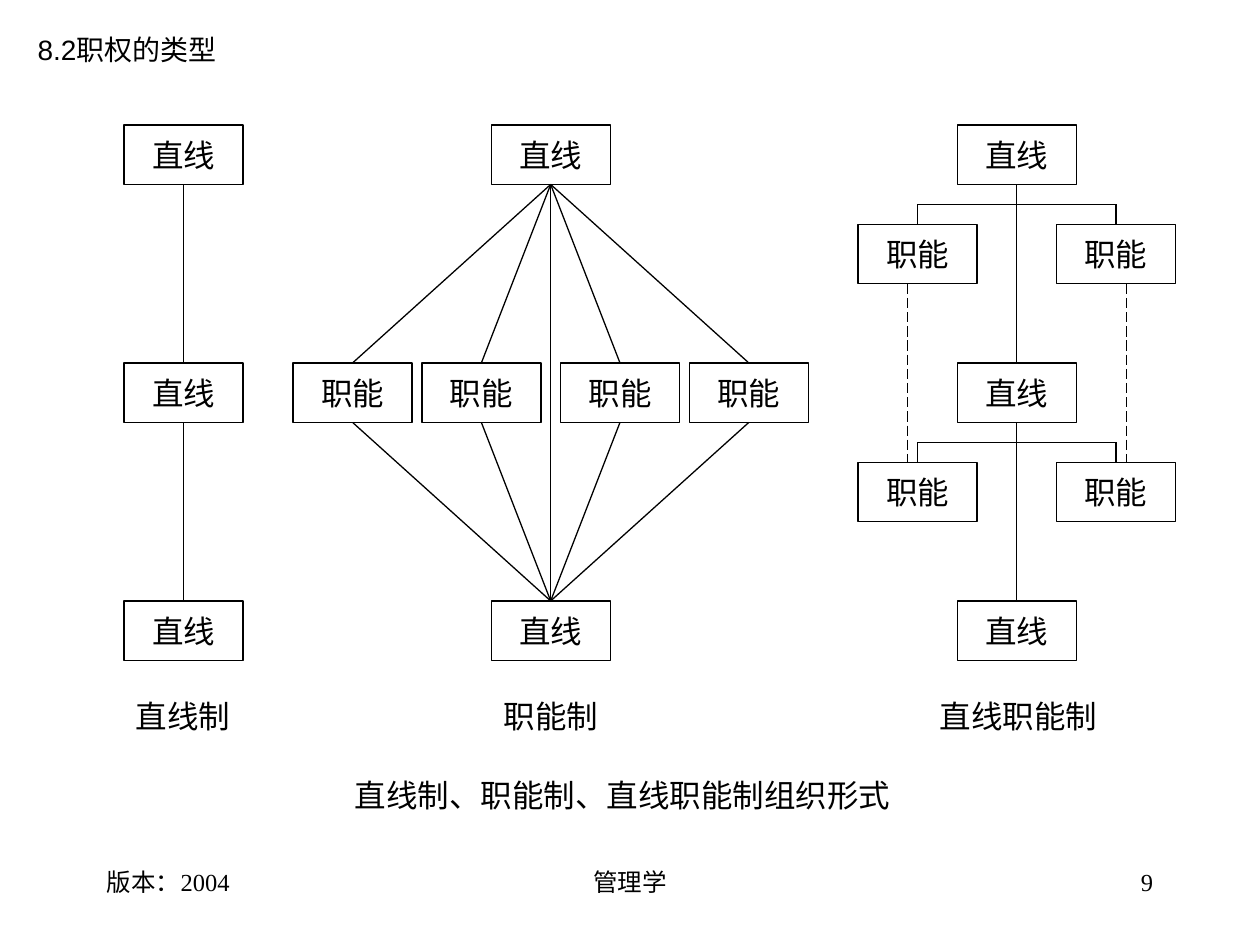
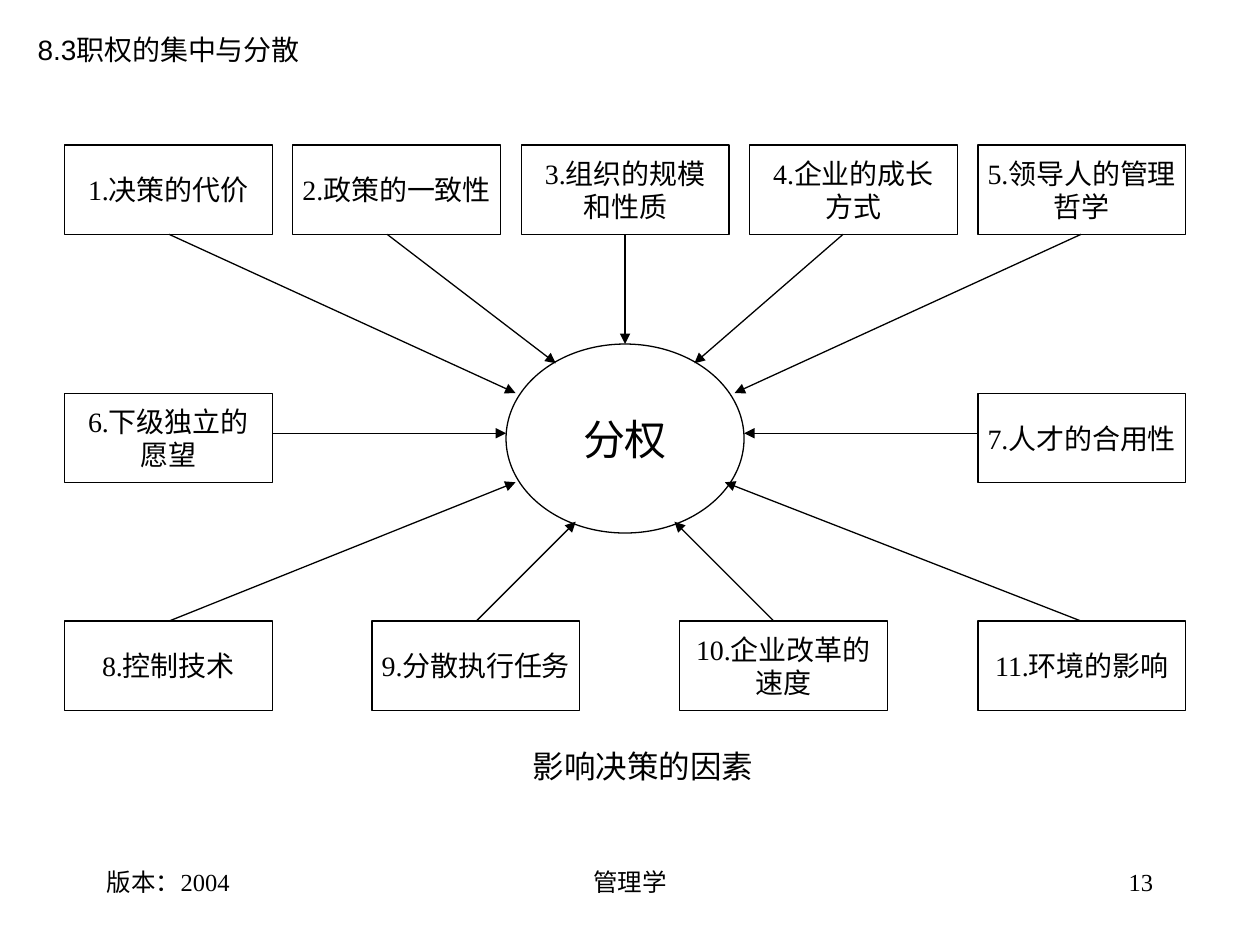
from dataclasses import dataclass

from pptx import Presentation
from pptx.dml.color import RGBColor
from pptx.enum.dml import MSO_LINE_DASH_STYLE as Dash
from pptx.enum.shapes import MSO_CONNECTOR as Connector, MSO_SHAPE as Preset
from pptx.enum.text import MSO_ANCHOR as Anchor, PP_ALIGN as Align
from pptx.oxml.ns import qn
from pptx.util import Pt
from lxml.etree import SubElement

COLORS = {"ink": "000000", "paper": "FFFFFF"}
SANS, SERIF = "Arial", "Times New Roman"
LINE, STAFF = "直线", "职能"
NODE_WIDTH, NODE_HEIGHT = 68, 34
ROW_STEP = 136       # between the line positions
STAFF_STEP = 56.7    # from a line position to its staff, both ways
CARD_WIDTH, CARD_HEIGHT = 118.8, 51


@dataclass
class Box:
    left: float
    top: float
    width: float
    height: float

    @property
    def right(self):
        return self.left + self.width

    @property
    def bottom(self):
        return self.top + self.height

    @property
    def center(self):
        return self.left + self.width / 2

    @property
    def middle(self):
        return self.top + self.height / 2

    def in_points(self):
        return [Pt(n) for n in (self.left, self.top, self.width, self.height)]


# ---- Basic parts ----
def color(name):
    return RGBColor.from_string(COLORS[name])


def write(frame, text, font=SANS, size=18, align=Align.LEFT, anchor=Anchor.TOP, wrap=True):
    frame.word_wrap = wrap
    frame.vertical_anchor = anchor
    for index, line in enumerate(text.split("\n")):
        para = frame.paragraphs[0] if index == 0 else frame.add_paragraph()
        para.alignment = align
        span = para.add_run()
        span.text = line
        span.font.name = font
        span.font.size = Pt(size)
        span.font.color.rgb = color("ink")


def add_text(page, box, text, **style):
    write(page.shapes.add_textbox(*box.in_points()).text_frame, text, **style)


def add_node(page, box, text, preset=Preset.RECTANGLE, **style):
    shape = page.shapes.add_shape(preset, *box.in_points())
    shape.shadow.inherit = False
    shape.fill.solid()
    shape.fill.fore_color.rgb = color("paper")
    shape.line.color.rgb = color("ink")
    shape.line.width = Pt(0.75)
    write(shape.text_frame, text, align=Align.CENTER, anchor=Anchor.MIDDLE,
          wrap=False, **style)


def add_line(page, start, end, width=0.75, dash=None, arrow=False):
    line = page.shapes.add_connector(Connector.STRAIGHT, *[Pt(n) for n in (*start, *end)])
    line.line.color.rgb = color("ink")
    line.line.width = Pt(width)
    if dash:
        line.line.dash_style = dash
    props = line._element.spPr
    if arrow:
        SubElement(props.find(qn("a:ln")), qn("a:tailEnd"), type="triangle")
    SubElement(props, qn("a:effectLst"))


# ---- Shared frame: section title and footer ----
def add_frame(deck, title, title_width, number):
    page = deck.slides.add_slide(deck.slide_layouts[6])
    add_text(page, Box(14.4, 15.1, title_width, 26.6), title, size=16)
    for left, width, text, align in (
        (54, 150, "版本：2004", Align.LEFT),
        (246, 228, "管理学", Align.CENTER),
        (516, 150, str(number), Align.RIGHT),
    ):
        add_text(page, Box(left, 492, width, 36), text, font=SERIF, size=14, align=align)
    return page


# ---- Organisation forms ----
def node_at(page, center, top, text):
    box = Box(center - NODE_WIDTH / 2, top, NODE_WIDTH, NODE_HEIGHT)
    add_node(page, box, text)
    return box


def line_positions(page, box, rows):
    return [node_at(page, box.center, box.top + row * ROW_STEP, LINE) for row in rows]


def join_down(page, upper, lower, **style):
    add_line(page, (upper.center, upper.bottom), (lower.center, lower.top), **style)


def line_form(page, box):
    top, middle, bottom = line_positions(page, box, (0, 1, 2))
    join_down(page, top, middle, width=0.5)
    join_down(page, middle, bottom, width=0.5)


def functional_form(page, box):
    top, bottom = line_positions(page, box, (0, 2))
    for offset in (-113.2, -39.6, 39.6, 113.2):
        staff = node_at(page, box.center + offset, box.top + ROW_STEP, STAFF)
        join_down(page, top, staff)
        join_down(page, staff, bottom)
    join_down(page, top, bottom)


def line_staff_form(page, box):
    top, middle, bottom = line_positions(page, box, (0, 1, 2))
    for upper, lower in ((top, middle), (middle, bottom)):
        join_down(page, upper, lower, width=0.5)
        bar = (upper.bottom + upper.top + STAFF_STEP) / 2
        add_line(page, (box.center - STAFF_STEP, bar), (box.center + STAFF_STEP, bar))
        for x in (box.center - STAFF_STEP, box.center + STAFF_STEP):
            staff = node_at(page, x, upper.top + STAFF_STEP, STAFF)
            add_line(page, (x, bar), (x, staff.top))
    # Dashed link between the two levels of staff
    staff_top = box.top + STAFF_STEP
    for x in (box.center - 62.6, box.center + 62.6):
        add_line(page, (x, staff_top + NODE_HEIGHT), (x, staff_top + ROW_STEP),
                 dash=Dash.LONG_DASH)


def organisation_slide(deck):
    page = add_frame(deck, "8.2职权的类型", 116.6, 9)
    forms = (
        (line_form, Box(70.9, 71.4, 68, 306), 70.6, 73.4, "直线制"),
        (functional_form, Box(167.2, 71.4, 295, 306), 280.8, 73.4, "职能制"),
        (line_staff_form, Box(490.3, 71.4, 181.4, 306), 529.9, 108, "直线职能制"),
    )
    for draw, box, caption_left, caption_width, caption in forms:
        draw(page, box)
        add_text(page, Box(caption_left, box.bottom + 17.2, caption_width, 28.8), caption)
    add_text(page, Box(195.8, 440, 329, 28.8), "直线制、职能制、直线职能制组织形式")


# ---- Factors around a hub ----
def card_row(page, left, top, step, texts):
    for index, text in enumerate(texts):
        box = Box(left + index * step, top, CARD_WIDTH, CARD_HEIGHT)
        add_node(page, box, text, font=SERIF, size=16)


def factor_map(page, box):
    hub = Box(box.center - 68, box.top + 113.7, 136, 108)
    add_node(page, hub, "分权", preset=Preset.OVAL, font=SERIF, size=24)

    # Cards
    last_left = box.right - CARD_WIDTH
    middle_top, bottom_top = box.top + 141.8, box.bottom - CARD_HEIGHT
    card_row(page, box.left, box.top, (last_left - box.left) / 4, (
        "1.决策的代价", "2.政策的一致性", "3.组织的规模\n和性质",
        "4.企业的成长\n方式", "5.领导人的管理\n哲学"))
    card_row(page, box.left, middle_top, last_left - box.left,
             ("6.下级独立的\n愿望", "7.人才的合用性"))
    card_row(page, box.left, bottom_top, 175.7,
             ("8.控制技术", "9.分散执行任务", "10.企业改革的\n速度"))
    card_row(page, last_left, bottom_top, 0, ("11.环境的影响",))

    # Arrows: start x, end x and end y, measured from the hub's center
    from_top = ((-260.6, -62.6, -26), (-136, -39.6, -43), (0, 0, -54),
                (124.6, 39.6, -43), (260.6, 62.6, -26))
    from_bottom = ((-260.6, -62.6, 25), (-85, -28.2, 47.5),
                   (85, 28.2, 47.5), (260.6, 57, 25))
    for y, arrows in ((box.top + CARD_HEIGHT, from_top), (bottom_top, from_bottom)):
        for start, end, end_y in arrows:
            add_line(page, (hub.center + start, y),
                     (hub.center + end, hub.middle + end_y), arrow=True)
    level = hub.middle - 3
    for start, end in ((box.left + CARD_WIDTH, hub.left), (last_left, hub.right)):
        add_line(page, (start, level), (end, level), arrow=True)


def factor_slide(deck):
    page = add_frame(deck, "8.3职权的集中与分散", 164.9, 13)
    factor_map(page, Box(36.8, 82.9, 640.8, 323))
    add_text(page, Box(297.4, 423.4, 141.8, 28.8), "影响决策的因素", font=SERIF)


def main():
    deck = Presentation()
    deck.slide_width, deck.slide_height = Pt(720), Pt(540)
    organisation_slide(deck)
    factor_slide(deck)
    deck.save("out.pptx")


if __name__ == "__main__":
    main()
